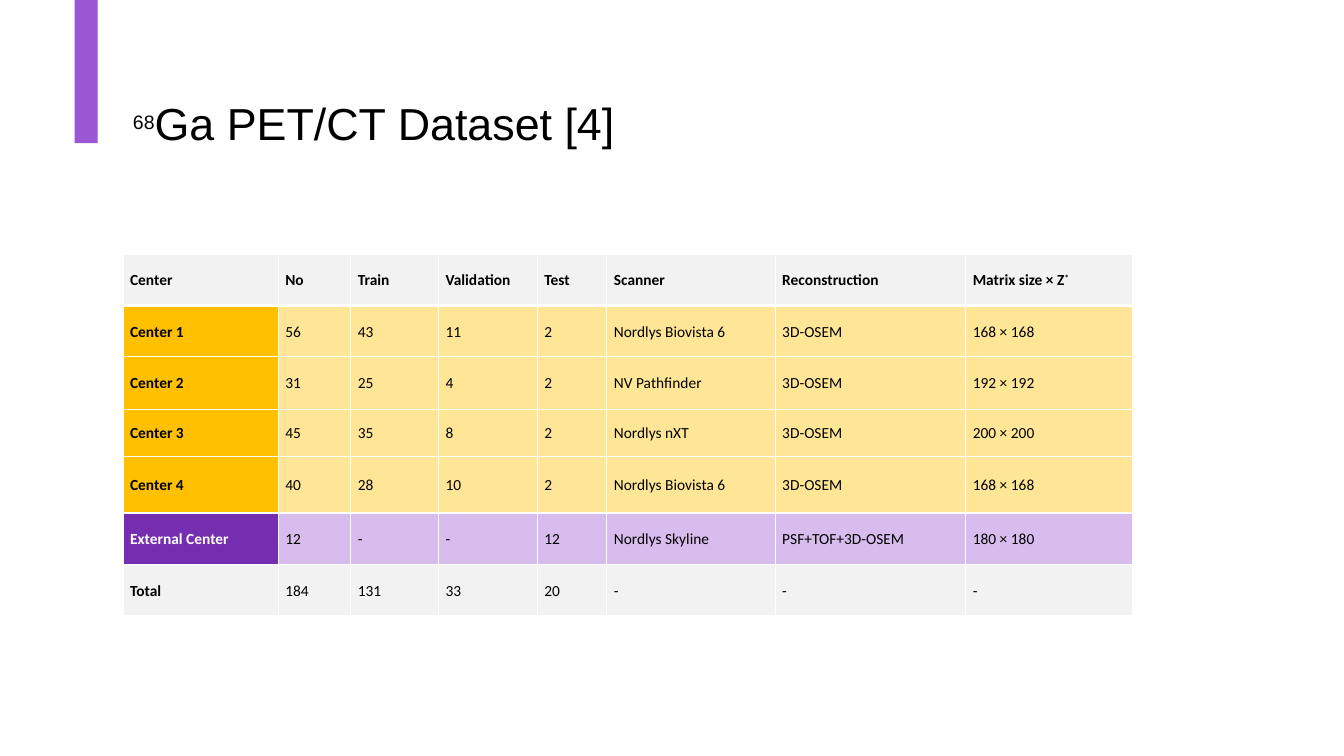
from lxml import etree
from pptx import Presentation, util as u
from pptx.dml.color import RGBColor
from pptx.enum import shapes, text
from pptx.oxml.ns import qn

COLORS = {
    "black": "000000", "white": "FFFFFF", "accent": "9B57D3", "gray": "F2F2F2",
    "gold": "FFC000", "pale gold": "FFE697", "purple": "762EB1", "lilac": "D7BCED",
}
SLIDE_W, SLIDE_H = 13.33, 7.5
MARGIN = 1.22
BAR = (0.74, 0, 0.23, 1.42)
TITLE_BOX = (MARGIN, 0.6, 11.12, 1.29)
TABLE_TOP = 2.52
COLUMNS = [1.54, 0.72, 0.87, 0.98, 0.69, 1.67, 1.89, 1.65]
ROWS = [0.51, 0.51, 0.52, 0.47, 0.56, 0.51, 0.51]

# Each run is (text, size, superscript)
TITLE = [("68", 24, True), ("Ga PET/CT Dataset [4]", 32, False)]
HEADER_MARK = "*"
DATA = [
    ("Center", "No", "Train", "Validation", "Test", "Scanner", "Reconstruction", "Matrix size × Z"),
    ("Center 1", "56", "43", "11", "2", "Nordlys Biovista 6", "3D-OSEM", "168 × 168"),
    ("Center 2", "31", "25", "4", "2", "NV Pathfinder", "3D-OSEM", "192 × 192"),
    ("Center 3", "45", "35", "8", "2", "Nordlys nXT", "3D-OSEM", "200 × 200"),
    ("Center 4", "40", "28", "10", "2", "Nordlys Biovista 6", "3D-OSEM", "168 × 168"),
    ("External Center", "12", "-", "-", "12", "Nordlys Skyline", "PSF+TOF+3D-OSEM", "180 × 180"),
    ("Total", "184", "131", "33", "20", "-", "-", "-"),
]
# Label fill, body fill and label text of each row
PLAIN = ("gray", "gray", "black")
CENTER = ("gold", "pale gold", "black")
EXTERNAL = ("purple", "lilac", "white")
ROW_STYLES = [PLAIN] + [CENTER] * 4 + [EXTERNAL, PLAIN]

CELL_FORMAT = {
    "vertical_anchor": text.MSO_ANCHOR.MIDDLE,
    "margin_left": u.Inches(0.07), "margin_right": u.Inches(0.07),
    "margin_top": 0, "margin_bottom": 0,
}
FRAME_FORMAT = {"word_wrap": True, "vertical_anchor": text.MSO_ANCHOR.MIDDLE}


def rgb(name):
    return RGBColor.from_string(COLORS[name])


def assign(target, values):
    for name, value in values.items():
        setattr(target, name, value)


def add_run(p, words, font, color, superscript=False):
    r = p.add_run()
    r.text = words
    assign(r.font, font)
    r.font.color.rgb = rgb(color)
    if superscript:
        r.font._element.set("baseline", "30000")


def add_borders(cell, widths):
    """Draw white cell borders; widths maps L, R, T and B to points."""
    tc_pr = cell._tc.get_or_add_tcPr()
    for side, width in widths.items():
        ln = etree.SubElement(tc_pr, qn(f"a:ln{side}"), w=str(u.Pt(width)))
        fill = etree.SubElement(ln, qn("a:solidFill"))
        etree.SubElement(fill, qn("a:srgbClr"), val=COLORS["white"])


def add_bar(s):
    sp = s.shapes.add_shape(shapes.MSO_SHAPE.RECTANGLE, *map(u.Inches, BAR))
    sp.shadow.inherit = False
    sp.fill.solid()
    sp.fill.fore_color.rgb = rgb("accent")
    sp.line.fill.background()


def add_title(s):
    tf = s.shapes.add_textbox(*map(u.Inches, TITLE_BOX)).text_frame
    assign(tf, FRAME_FORMAT)
    p = tf.paragraphs[0]
    p.line_spacing = 0.9
    for words, size, superscript in TITLE:
        add_run(p, words, {"name": "Arial", "size": u.Pt(size)}, "black", superscript)


def fill_cell(cell, row, col):
    label_fill, body_fill, label_text = ROW_STYLES[row]
    is_label = col == 0
    assign(cell, CELL_FORMAT)
    add_borders(cell, {"L": 1, "R": 1, "T": 3 if row == 1 else 1, "B": 3 if row == 0 else 1})
    cell.fill.solid()
    cell.fill.fore_color.rgb = rgb(label_fill if is_label else body_fill)
    p = cell.text_frame.paragraphs[0]
    assign(p, {"line_spacing": 1.07, "space_after": u.Pt(8)})
    font = {"name": "Calibri", "size": u.Pt(11), "bold": is_label or row == 0}
    add_run(p, DATA[row][col], font, label_text if is_label else "black")
    if row == 0 and col == len(COLUMNS) - 1:
        add_run(p, HEADER_MARK, font, "black", superscript=True)


def add_dataset_table(s):
    box = map(u.Inches, (MARGIN, TABLE_TOP, sum(COLUMNS), sum(ROWS)))
    table = s.shapes.add_table(len(ROWS), len(COLUMNS), *box).table
    for column, width in zip(table.columns, COLUMNS):
        column.width = u.Inches(width)
    for row, height in enumerate(ROWS):
        table.rows[row].height = u.Inches(height)
        for col in range(len(COLUMNS)):
            fill_cell(table.cell(row, col), row, col)


def main():
    prs = Presentation()
    assign(prs, {"slide_width": u.Inches(SLIDE_W), "slide_height": u.Inches(SLIDE_H)})
    s = prs.slides.add_slide(prs.slide_layouts[6])
    add_bar(s)
    add_title(s)
    add_dataset_table(s)
    prs.save("out.pptx")


if __name__ == "__main__":
    main()
